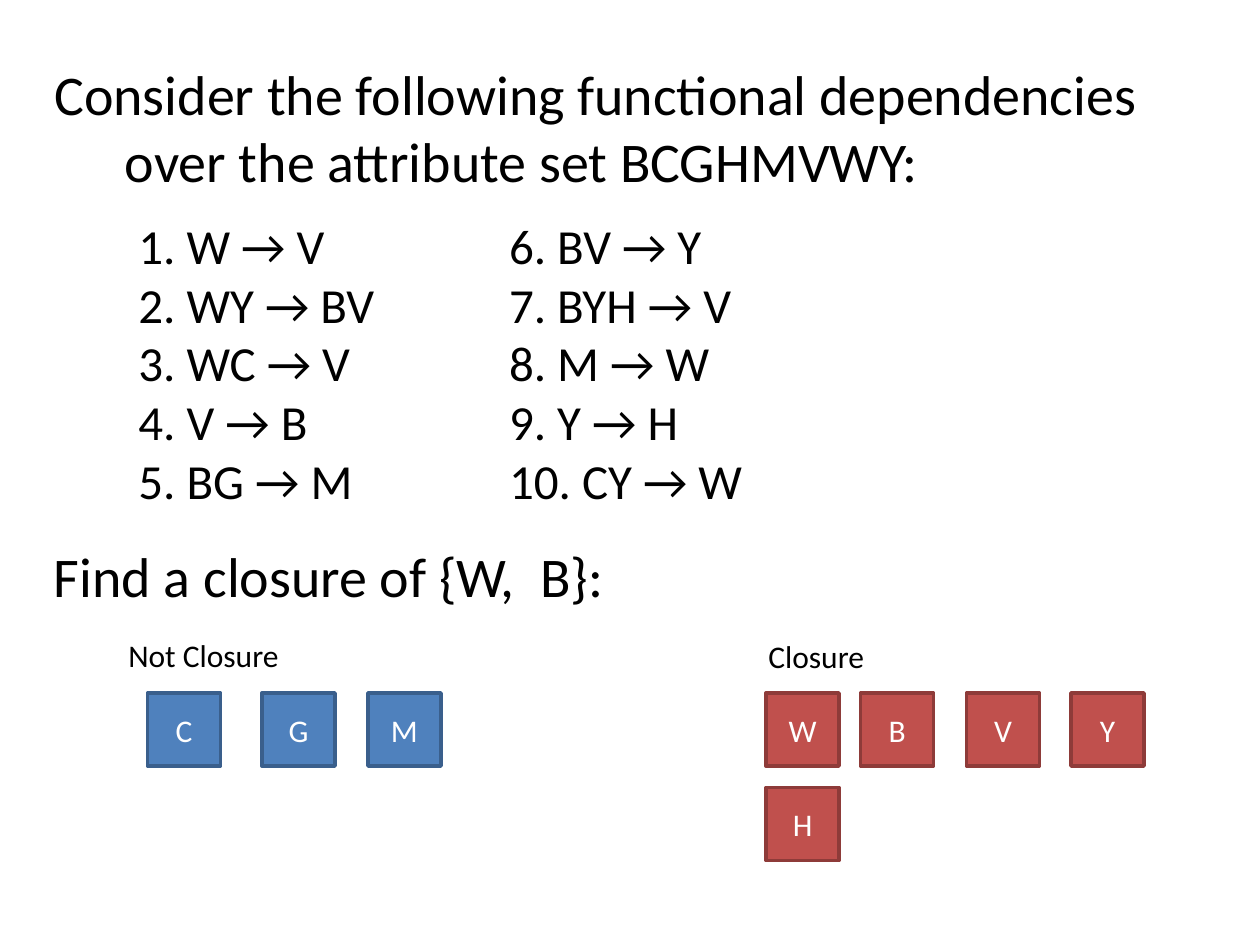
from pptx import Presentation, util as u
from pptx.dml.color import RGBColor
from pptx.enum import shapes, text
from pptx.oxml.ns import qn

# Content
QUESTION = "Consider the following functional dependencies over the attribute set BCGHMVWY:"
TASK = "Find a closure of {W,  B}:"
DEPENDENCIES = [("W", "V"), ("WY", "BV"), ("WC", "V"), ("V", "B"), ("BG", "M"),
                ("BV", "Y"), ("BYH", "V"), ("M", "W"), ("Y", "H"), ("CY", "W")]
ROW_TOP, ROW_STEP, TILE = 5.5, 0.75, 0.58
# Each group: label, label box, fill, outline, tiles as (letter, left, row)
GROUPS = [
    ("Not Closure", (0.92, 5, 1.41, 0.4), "4F81BD", "3A5F8C",
     [("C", 1.17, 0), ("G", 2.08, 0), ("M", 2.92, 0)]),
    ("Closure", (6, 5.01, 0.97, 0.4), "C0504D", "8E3B39",
     [("W", 6.08, 0), ("B", 6.83, 0), ("V", 7.67, 0), ("Y", 8.5, 0), ("H", 6.08, 1)]),
]


def rgb(value):
    return RGBColor.from_string(value)


def inches(box):
    return [u.Inches(n) for n in box]


def write(frame, lines, size, color="000000", hang=0, before=None):
    for i, line in enumerate(lines):
        para = frame.add_paragraph() if i else frame.paragraphs[0]
        if before is not None:
            para.space_before = u.Pt(before)
        if hang:
            props = para._p.get_or_add_pPr()
            props.set("marL", str(u.Inches(hang)))
            props.set("indent", str(-u.Inches(hang)))
            props.append(props.makeelement(qn("a:buNone"), {}))
        run = para.add_run()
        run.text = line
        run.font.size, run.font.name = u.Pt(size), "Calibri"
        run.font.color.rgb = rgb(color)


def add_label(box, lines, size, wrap=True, **style):
    frame = slide.shapes.add_textbox(*inches(box)).text_frame
    frame.word_wrap = wrap
    write(frame, lines, size, **style)
    return frame


def add_tile(letter, left, row, fill, outline):
    tile = slide.shapes.add_shape(shapes.MSO_SHAPE.RECTANGLE, *inches(
        (left, ROW_TOP + row * ROW_STEP, TILE, TILE)))
    tile.shadow.inherit = False
    tile.fill.solid()
    tile.fill.fore_color.rgb = rgb(fill)
    tile.line.color.rgb = rgb(outline)
    tile.line.width = u.Pt(2)
    tile.text_frame.vertical_anchor = text.MSO_ANCHOR.MIDDLE
    write(tile.text_frame, [letter], 18, "FFFFFF")
    tile.text_frame.paragraphs[0].alignment = text.PP_ALIGN.CENTER


deck = Presentation()
deck.slide_width, deck.slide_height = u.Inches(10), u.Inches(7.5)
slide = deck.slides.add_slide(deck.slide_layouts[1])
heading = slide.shapes.title
heading._element.getparent().remove(heading._element)

# Question and task
question = slide.placeholders[1]
question.left, question.top, question.width, question.height = inches((0.33, 0.42, 9, 1.33))
question.text_frame.auto_size = text.MSO_AUTO_SIZE.NONE
write(question.text_frame, [QUESTION], 32, hang=0.56)
add_label((0.33, 4.25, 9, 1.5), [TASK], 32, hang=0.38, before=6.4)

# Dependencies in two columns; the bottom inset leaves room for five lines each
rules = [f"{n}. {left} → {right}" for n, (left, right) in enumerate(DEPENDENCIES, 1)]
listing = add_label((1, 1.66, 6.08, 2.93), rules, 28)
listing.auto_size = text.MSO_AUTO_SIZE.NONE
listing.margin_bottom = u.Inches(0.4)
listing._txBody.bodyPr.set("numCol", "2")

# Attribute tiles
for label, box, fill, outline, tiles in GROUPS:
    add_label(box, [label], 18, wrap=False)
    for tile in tiles:
        add_tile(*tile, fill, outline)

deck.save("out.pptx")
